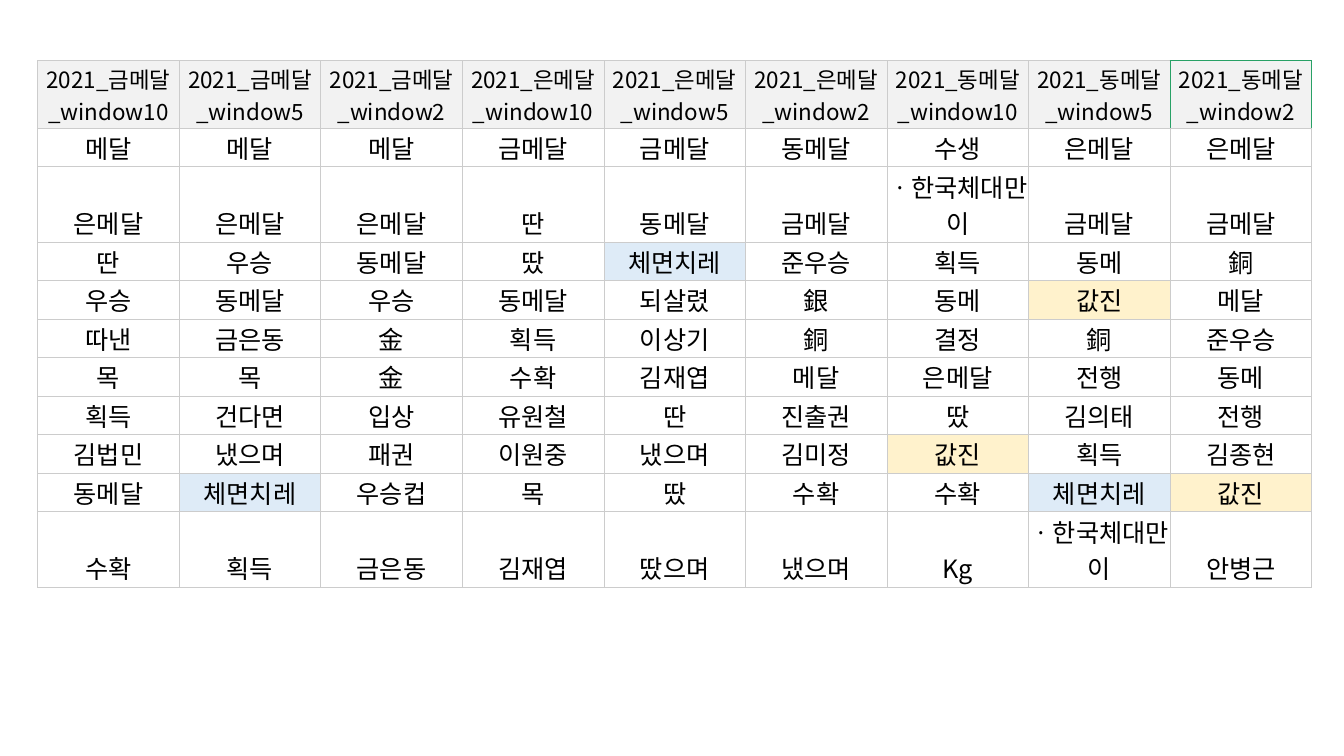
from lxml import etree
from pptx import Presentation
from pptx import util as u
from pptx.dml import color
from pptx.enum import text
from pptx.oxml import ns

SLIDE_WIDTH, SLIDE_HEIGHT = u.Inches(13.33), u.Inches(7.5)
FONT = "Noto Sans CJK KR"
COLORS = {
    "text": "000000",
    "grid": "CCCCCC",
    "selected": "28A166",
    "header": "F2F2F2",
    "blue": "DEEBF7",
    "yellow": "FFF2CC",
}
HIGHLIGHTS = {"체면치레": "blue", "값진": "yellow"}
HEADER_HEIGHT, WORD_HEIGHT, WRAPPED_HEIGHT = 0.67, 0.38, 0.75
WRAPPED_WORD = "ㆍ한국체대만이"

MEDALS = ("금메달", "은메달", "동메달")
WINDOWS = (10, 5, 2)
HEADERS = [f"2021_{medal}_window{window}" for medal in MEDALS for window in WINDOWS]
WORDS = [line.split() for line in (
    "메달 메달 메달 금메달 금메달 동메달 수생 은메달 은메달",
    "은메달 은메달 은메달 딴 동메달 금메달 ㆍ한국체대만이 금메달 금메달",
    "딴 우승 동메달 땄 체면치레 준우승 획득 동메 銅",
    "우승 동메달 우승 동메달 되살렸 銀 동메 값진 메달",
    "따낸 금은동 \uf90a 획득 이상기 銅 결정 銅 준우승",
    "목 목 金 수확 김재엽 메달 은메달 전행 동메",
    "획득 건다면 입상 유원철 딴 진출권 땄 김의태 전행",
    "김법민 냈으며 패권 이원중 냈으며 김미정 값진 획득 김종현",
    "동메달 체면치레 우승컵 목 땄 수확 수확 체면치레 값진",
    "수확 획득 금은동 김재엽 땄으며 냈으며 Kg ㆍ한국체대만이 안병근",
)]


def write_text(cell, content, size=18, color_name="text", align=text.PP_ALIGN.CENTER):
    """Write one formatted paragraph into a cell."""
    paragraph = cell.text_frame.paragraphs[0]
    paragraph.alignment = align
    run = paragraph.add_run()
    run.text = content
    run.font.size = u.Pt(size)
    run.font.color.rgb = color.RGBColor.from_string(COLORS[color_name])
    run.font.name = FONT
    properties = run.font._element
    etree.SubElement(properties, ns.qn("a:ea"), typeface=FONT)


def set_borders(cell, green_sides=""):
    """Draw the four cell borders, with the named sides in green."""
    properties = cell._tc.get_or_add_tcPr()
    for side in "LRTB":
        line = etree.SubElement(properties, ns.qn(f"a:ln{side}"), w=str(u.Pt(0.5)))
        fill = etree.SubElement(line, ns.qn("a:solidFill"))
        color_name = "selected" if side in green_sides else "grid"
        etree.SubElement(fill, ns.qn("a:srgbClr"), val=COLORS[color_name])


def set_fill(cell, color_name=None):
    """Fill a cell, or leave it clear when no colour is named."""
    if color_name is None:
        cell.fill.background()
    else:
        cell.fill.solid()
        cell.fill.fore_color.rgb = color.RGBColor.from_string(COLORS[color_name])


def format_cell(cell, content, fill=None, green_sides="", **text_format):
    """Set the margins, borders, fill and text of one cell."""
    cell.margin_left = cell.margin_right = u.Inches(0.01)
    cell.margin_top = cell.margin_bottom = u.Inches(0.01)
    cell.vertical_anchor = text.MSO_ANCHOR.BOTTOM
    set_borders(cell, green_sides)
    set_fill(cell, fill)
    write_text(cell, content, **text_format)


def row_height(words):
    """Return the height in inches that a row of words needs."""
    return WRAPPED_HEIGHT if WRAPPED_WORD in words else WORD_HEIGHT


def add_word_table(slide):
    """Add the table of related words per medal and window size."""
    heights = [HEADER_HEIGHT] + [row_height(words) for words in WORDS]
    width = int(SLIDE_WIDTH * 0.948)
    table = slide.shapes.add_table(
        len(heights), len(HEADERS), int(SLIDE_WIDTH * 0.028), int(SLIDE_HEIGHT * 0.08),
        width, u.Inches(sum(heights))).table
    table.first_row = table.horz_banding = False
    for column in table.columns:
        column.width = width // len(HEADERS)
    for row, height in zip(table.rows, heights):
        row.height = u.Inches(height)

    last = len(HEADERS) - 1
    green_sides = {last - 1: "R", last: "LRT"}
    for column, header in enumerate(HEADERS):
        format_cell(table.cell(0, column), header, fill="header",
                    green_sides=green_sides.get(column, ""), size=16)
    for row, words in enumerate(WORDS, start=1):
        for column, word in enumerate(words):
            format_cell(table.cell(row, column), word, fill=HIGHLIGHTS.get(word))


def main():
    """Build the slide and save it."""
    presentation = Presentation()
    presentation.slide_width, presentation.slide_height = SLIDE_WIDTH, SLIDE_HEIGHT
    slide = presentation.slides.add_slide(presentation.slide_layouts[6])
    add_word_table(slide)
    presentation.save("out.pptx")


main()
